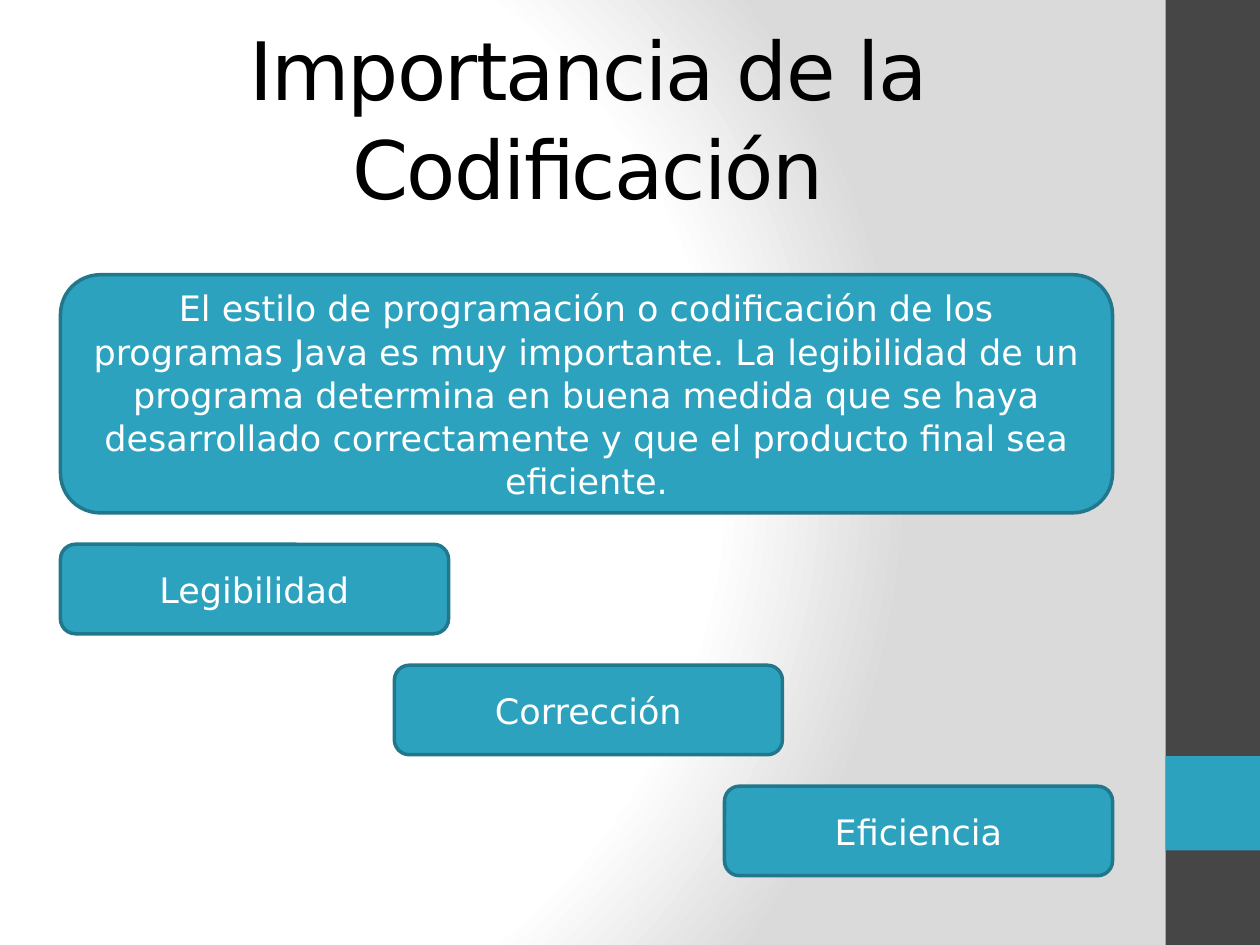
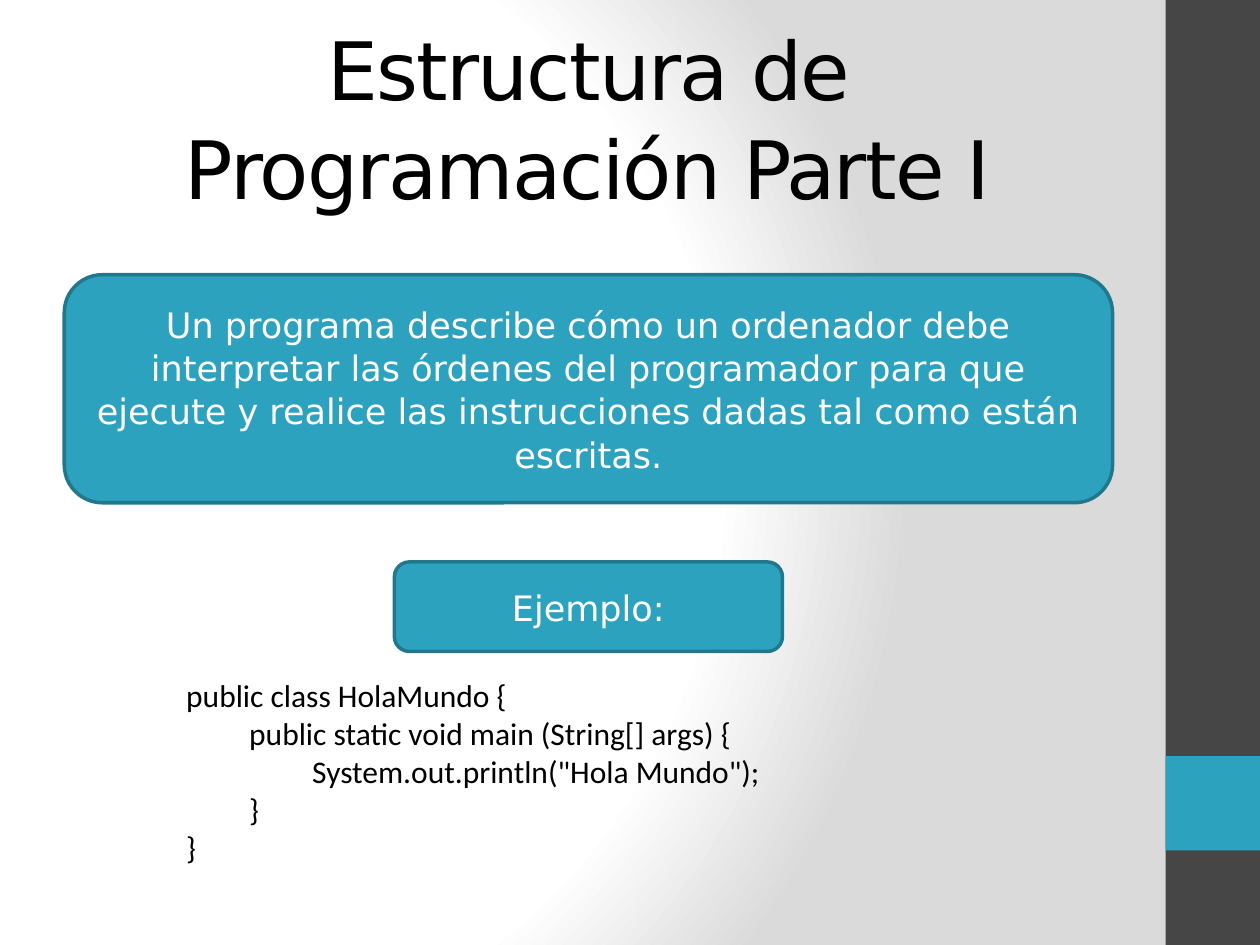
from dataclasses import dataclass

from pptx import Presentation
from pptx.dml.color import RGBColor as RGB
from pptx.enum.shapes import MSO_SHAPE as SHAPE
from pptx.enum.text import MSO_ANCHOR as ANCHOR, PP_ALIGN as ALIGN
from pptx.oxml import parse_xml
from pptx.oxml.ns import nsdecls, qn
from pptx.util import Inches, Pt


@dataclass(frozen=True)
class Theme:
    accent: str = "2DA2BF"
    border: str = "21788D"
    band: str = "464646"
    ink: str = "000000"
    light: str = "FFFFFF"
    shade: str = "DADADA"
    sans: str = "DejaVu Sans"
    code: str = "Calibri"
    title_size: int = 46
    body_size: int = 20
    code_size: int = 18
    border_width: int = 2
    leading: float = 1.03


@dataclass(frozen=True)
class Box:
    """Position and size as percentages of the slide."""
    x: float
    y: float
    w: float
    h: float


@dataclass(frozen=True)
class Panel:
    text: str
    box: Box


@dataclass(frozen=True)
class Page:
    title: str
    panels: tuple[Panel, ...]
    code: tuple[str, ...] = ()


T = Theme()
TITLE = Box(5, 4, 83.3, 16.67)
BANDS = ((Box(92.5, 0, 7.5, 100), T.band), (Box(92.5, 80, 7.5, 10), T.accent))
CODE = Box(13.8, 70.93, 64.6, 25.6)
COLUMNS = (4.8, 31.3, 57.5)
PANEL_TOP = 29.07
LABEL_W, LABEL_H = 30.8, 9.47
STAIR_TOP, STAIR_STEP = 57.6, 12.8


def label(text: str, column: int, y: float) -> Panel:
    return Panel(text, Box(COLUMNS[column], y, LABEL_W, LABEL_H))


STAIRS = tuple(label(text, i, STAIR_TOP + i * STAIR_STEP)
               for i, text in enumerate(("Legibilidad", "Corrección", "Eficiencia")))

PAGES = (
    Page("Importancia de la Codificación", (
        Panel("El estilo de programación o codificación de los programas Java es muy "
              "importante. La legibilidad de un programa determina en buena medida que se "
              "haya desarrollado correctamente y que el producto final sea eficiente.",
              Box(4.8, PANEL_TOP, 83.5, 25.2)),
        *STAIRS)),
    Page("Estructura de Programación Parte I", (
        Panel("Un programa describe cómo un ordenador debe interpretar las órdenes del "
              "programador para que ejecute y realice las instrucciones dadas tal como "
              "están escritas.",
              Box(5.1, PANEL_TOP, 83.2, 24.13)),
        label("Ejemplo:", 1, 59.47)),
        ("public class HolaMundo {",
         "\tpublic static void main (String[] args) {",
         "\t\tSystem.out.println(\"Hola Mundo\");",
         "\t}",
         "}")),
)

prs = Presentation()
prs.slide_width, prs.slide_height = Inches(10), Inches(7.5)


def place(box: Box) -> tuple[int, int, int, int]:
    w, h = prs.slide_width / 100, prs.slide_height / 100
    return round(box.x * w), round(box.y * h), round(box.w * w), round(box.h * h)


def paint_background(s) -> None:
    s.background.fill.gradient()
    old = next(s._element.iter(qn("a:gradFill")))
    stops = "".join(f'<a:gs pos="{pos * 1000}"><a:srgbClr val="{color}"/></a:gs>'
                    for pos, color in ((0, T.light), (75, T.light), (100, T.shade)))
    new = parse_xml(
        f'<a:gradFill {nsdecls("a")} rotWithShape="1"><a:gsLst>{stops}</a:gsLst>'
        '<a:path path="circle"><a:fillToRect l="20000" t="50000" r="100000" b="50000"/>'
        '</a:path></a:gradFill>')
    old.getparent().replace(old, new)


def write(sp, lines: tuple[str, ...], size: int, font: str, color: str,
          align: ALIGN = ALIGN.CENTER, anchor: ANCHOR = ANCHOR.MIDDLE,
          leading: float = T.leading, spacing: int = 0) -> None:
    tf = sp.text_frame
    tf.word_wrap, tf.vertical_anchor = True, anchor
    for i, line in enumerate(lines):
        p = tf.add_paragraph() if i else tf.paragraphs[0]
        p.alignment, p.line_spacing = align, leading
        r = p.add_run()
        r.text = line
        for name, value in {"size": Pt(size), "name": font}.items():
            setattr(r.font, name, value)
        r.font.color.rgb = RGB.from_string(color)
        if spacing:
            r._r.get_or_add_rPr().set("spc", str(spacing * 100))


def add_block(s, kind: SHAPE, box: Box, fill: str, border: str = ""):
    sp = s.shapes.add_shape(kind, *place(box))
    sp.shadow.inherit = False
    sp.fill.solid()
    sp.fill.fore_color.rgb = RGB.from_string(fill)
    if border:
        sp.line.color.rgb = RGB.from_string(border)
        sp.line.width = Pt(T.border_width)
    else:
        sp.line.fill.background()
    return sp


def add_page(page: Page) -> None:
    s = prs.slides.add_slide(prs.slide_layouts[6])
    paint_background(s)
    for box, color in BANDS:
        add_block(s, SHAPE.RECTANGLE, box, color)
    write(s.shapes.add_textbox(*place(TITLE)), (page.title,),
          T.title_size, T.sans, T.ink, spacing=-1)
    for panel in page.panels:
        sp = add_block(s, SHAPE.ROUNDED_RECTANGLE, panel.box, T.accent, T.border)
        write(sp, (panel.text,), T.body_size, T.sans, T.light)
    if page.code:
        write(s.shapes.add_textbox(*place(CODE)), page.code, T.code_size, T.code, T.ink,
              ALIGN.LEFT, ANCHOR.TOP, leading=1.0)


for page in PAGES:
    add_page(page)
prs.save("out.pptx")
